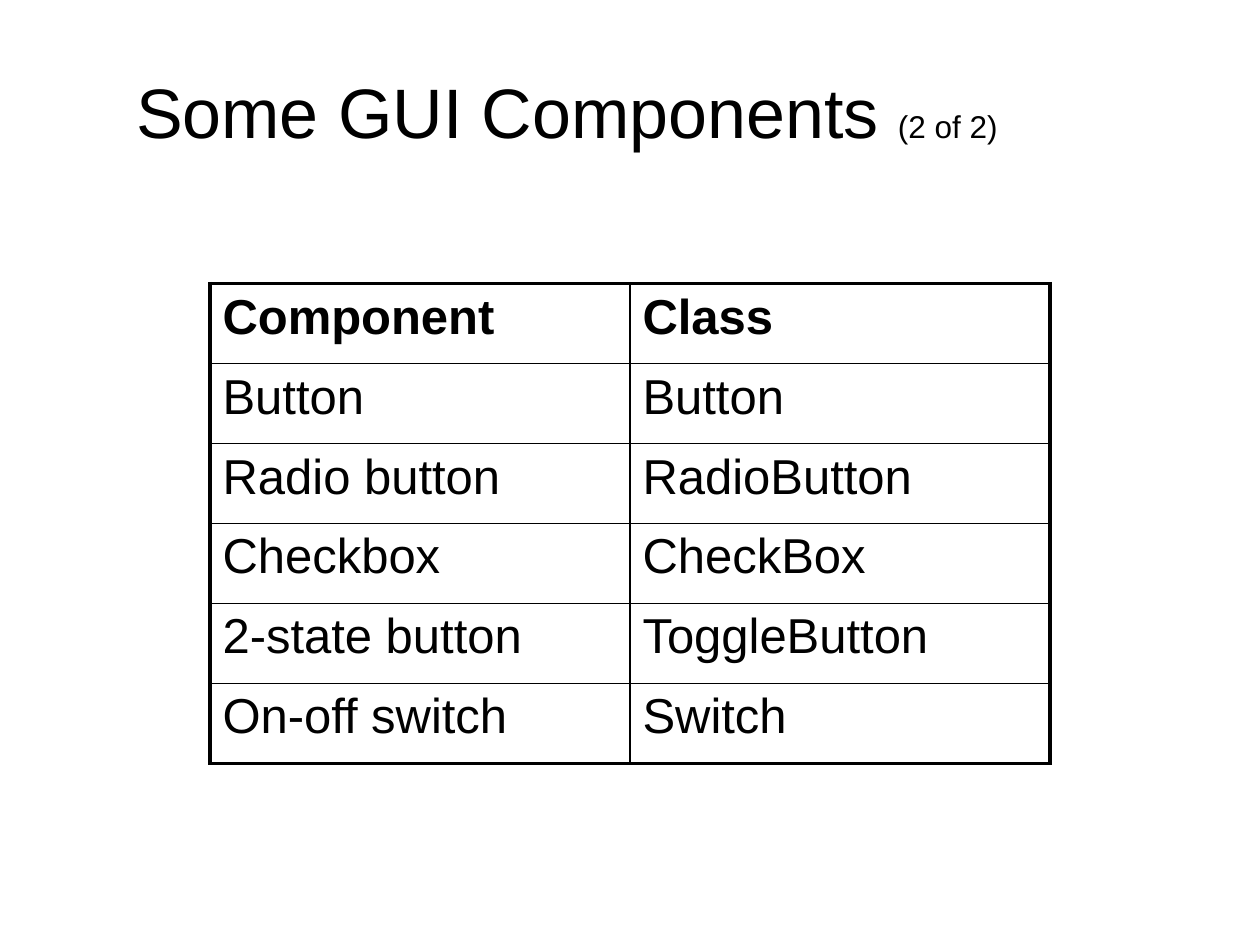
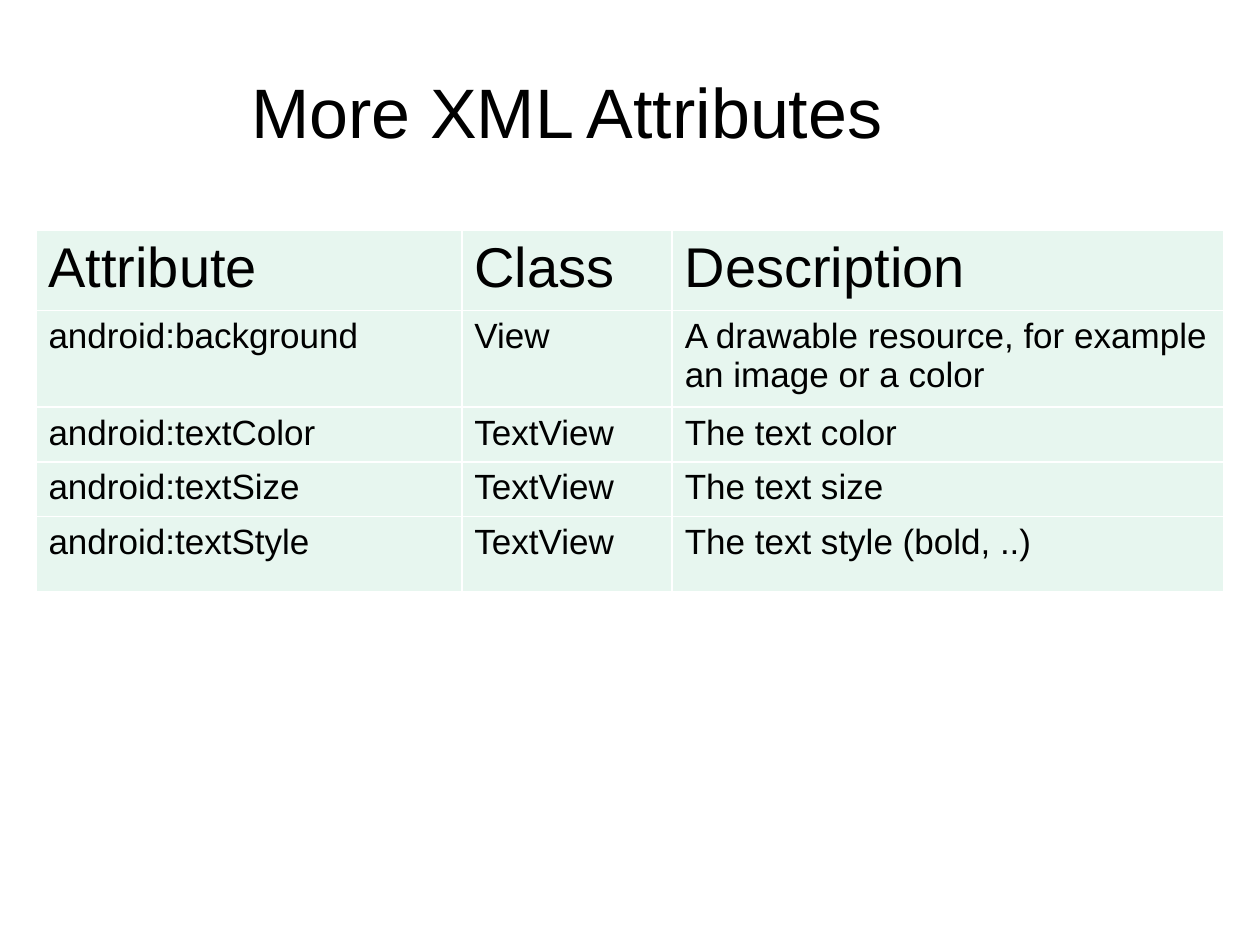
from lxml.etree import SubElement
from pptx import Presentation
from pptx.dml.color import RGBColor
from pptx.enum.text import MSO_ANCHOR, PP_ALIGN
from pptx.oxml.ns import qn
from pptx.util import Inches, Pt

WIDE, HIGH = 10, 7.5
FONT = "Arial"
BLACK, WHITE, MINT = "000000", "FFFFFF", "E7F6EF"
THIN, THICK = 1, 2.25

PARTS = [
    ("Component", "Class"),
    ("Button", "Button"),
    ("Radio button", "RadioButton"),
    ("Checkbox", "CheckBox"),
    ("2-state button", "ToggleButton"),
    ("On-off switch", "Switch"),
]
TRAITS = [
    ("Attribute", "Class", "Description"),
    ("android:background", "View",
     "A drawable resource, for example an image or a color"),
    ("android:textColor", "TextView", "The text color"),
    ("android:textSize", "TextView", "The text size"),
    ("android:textStyle", "TextView", "The text style (bold, ..)"),
]


def paint(code):
    return RGBColor.from_string(code)


def style(run, size, bold=False):
    run.font.name = FONT
    run.font.size = Pt(size)
    run.font.bold = bold
    run.font.color.rgb = paint(BLACK)


def add_title(slide, text, note=""):
    """Centre a heading in the title band, with an optional small note."""
    box = slide.shapes.add_textbox(
        0, Inches(HIGH / 30), Inches(WIDE * 0.9), Inches(HIGH / 6))
    frame = box.text_frame
    frame.word_wrap = True
    frame.vertical_anchor = MSO_ANCHOR.MIDDLE
    line = frame.paragraphs[0]
    line.alignment = PP_ALIGN.CENTER
    for words, size in ((text, 40), (note, 18)):
        if words:
            run = line.add_run()
            run.text = words
            style(run, size)


def edge(cell, color, sizes):
    """Draw the left, right, top and bottom borders, widths in points."""
    props = cell._tc.get_or_add_tcPr()
    for spot, (side, size) in enumerate(zip("LRTB", sizes)):
        line = SubElement(props, qn(f"a:ln{side}"), w=str(Pt(size)))
        fill = SubElement(line, qn("a:solidFill"))
        SubElement(fill, qn("a:srgbClr"), val=color)
        props.insert(spot, line)


def add_grid(slide, data, left, top, cols, rows, sizes, line, rim,
             fill=None, bold=False):
    """Add a table; sizes are head and body text, rim the outer border."""
    grid = slide.shapes.add_table(
        len(rows), len(cols), Inches(left), Inches(top),
        Inches(sum(cols)), Inches(sum(rows))).table
    grid.first_row = grid.horz_banding = False
    for col, width in zip(grid.columns, cols):
        col.width = Inches(width)
    for row, height in zip(grid.rows, rows):
        row.height = Inches(height)
    for r, texts in enumerate(data):
        for c, text in enumerate(texts):
            cell = grid.cell(r, c)
            cell.text_frame.text = text
            head = r == 0
            style(cell.text_frame.paragraphs[0].runs[0],
                  sizes[0] if head else sizes[1], bold and head)
            if fill:
                cell.fill.solid()
                cell.fill.fore_color.rgb = paint(fill)
            else:
                cell.fill.background()
            outer = (c == 0, c == len(cols) - 1, head, r == len(rows) - 1)
            edge(cell, line, [rim if out else THIN for out in outer])


def main():
    deck = Presentation()
    deck.slide_width, deck.slide_height = Inches(WIDE), Inches(HIGH)
    blank = deck.slide_layouts[6]

    slide = deck.slides.add_slide(blank)
    add_title(slide, "Some GUI Components ", "(2 of 2)")
    add_grid(slide, PARTS, WIDE / 6, HIGH * 0.3, [WIDE / 3] * 2,
             [3.81 / len(PARTS)] * len(PARTS), (28, 28), BLACK, THICK,
             bold=True)

    slide = deck.slides.add_slide(blank)
    add_title(slide, "More XML Attributes")
    cols = [3.38, 1.67, 4.38]
    add_grid(slide, TRAITS, (WIDE - sum(cols)) / 2, 1.83, cols,
             [0.59, 0.72, 0.41, 0.41, 0.6], (32, 20), WHITE, THIN, fill=MINT)

    deck.save("out.pptx")


if __name__ == "__main__":
    main()
